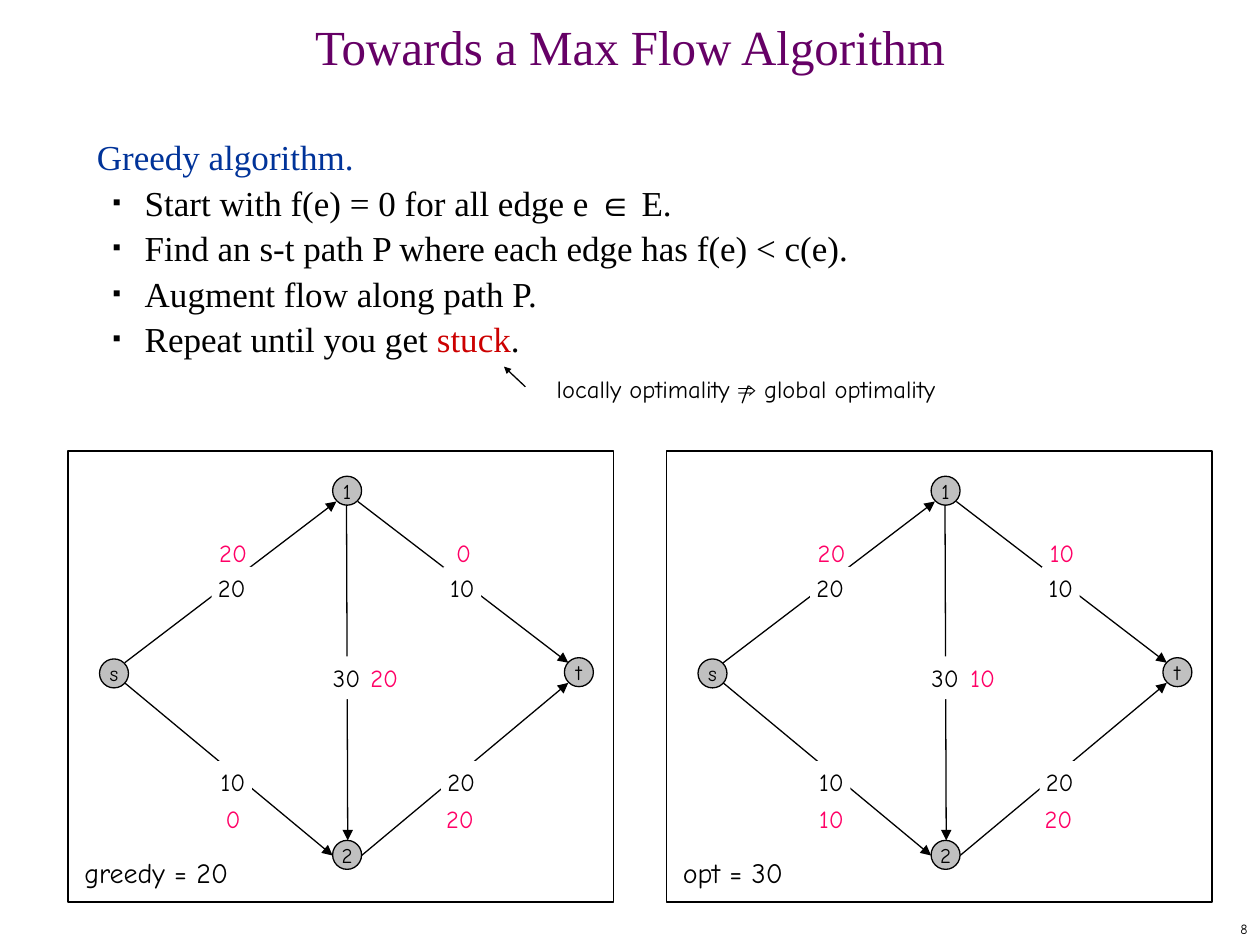
import lxml.etree
import pptx
import pptx.dml.color
import pptx.enum.shapes
import pptx.enum.text
import pptx.oxml.ns
import pptx.util

Inches = pptx.util.Inches
Pt = pptx.util.Pt
RGBColor = pptx.dml.color.RGBColor
Align = pptx.enum.text.PP_ALIGN
Anchor = pptx.enum.text.MSO_ANCHOR
Shape = pptx.enum.shapes.MSO_SHAPE

BLACK = RGBColor(0, 0, 0)
WHITE = RGBColor(255, 255, 255)
GRAY = RGBColor(0xC0, 0xC0, 0xC0)
PURPLE = RGBColor(0x66, 0, 0x66)
NAVY = RGBColor(0, 0x33, 0x99)
RED = RGBColor(0xCC, 0, 0)
PINK = RGBColor(0xFF, 0, 0x66)
SERIF, COMIC, SANS = "Times New Roman", "Comic Neue", "Arial"

NODE = 0.23
NODES = [("s", 0.25, 1.65), ("1", 2.1, 0.2), ("2", 2.1, 3.09), ("t", 3.94, 1.64)]
EDGES = [
    (0.45, 1.68, 2.13, 0.4),
    (0.45, 1.84, 2.1, 3.21),
    (2.33, 3.21, 3.97, 1.84),
    (2.21, 0.43, 2.22, 3.09),
    (2.3, 0.4, 3.97, 1.68),
]
CAPS = [("20", 1.3, 0.92), ("10", 3.13, 0.92), ("30", 2.21, 1.63),
        ("10", 1.31, 2.46), ("20", 3.12, 2.46)]
FLOWS = [(1.31, 0.64), (3.14, 0.64), (2.51, 1.63), (1.31, 2.75), (3.11, 2.75)]
WIDTHS = {"0": 0.22, "10": 0.3, "20": 0.32, "30": 0.32}


def add_run(para, text, size, color=BLACK, font=COMIC):
    """Append one formatted run to a paragraph."""
    run = para.add_run()
    run.text = text
    run.font.size = Pt(size)
    run.font.name = font
    run.font.color.rgb = color


def set_frame(frame, pad=(0.1, 0.05), wrap=False, anchor=Anchor.TOP):
    """Set the insets, wrapping and anchor of a text frame."""
    frame.margin_left = frame.margin_right = Inches(pad[0])
    frame.margin_top = frame.margin_bottom = Inches(pad[1])
    frame.word_wrap = wrap
    frame.vertical_anchor = anchor


def add_text(slide, box, **style):
    """Add a text box and return its text frame."""
    frame = slide.shapes.add_textbox(*map(Inches, box)).text_frame
    set_frame(frame, **style)
    return frame


def add_block(slide, kind, box, fill=None, line=None):
    """Add a flat preset shape with optional fill and outline."""
    shape = slide.shapes.add_shape(kind, *map(Inches, box))
    shape.shadow.inherit = False
    if fill is None:
        shape.fill.background()
    else:
        shape.fill.solid()
        shape.fill.fore_color.rgb = fill
    if line is None:
        shape.line.fill.background()
    else:
        shape.line.color.rgb = line
        shape.line.width = Pt(0.75)
    return shape


def add_line(slide, ends, head="med"):
    """Add a thin black line, with an arrowhead of the given size if any."""
    kind = pptx.enum.shapes.MSO_CONNECTOR.STRAIGHT
    line = slide.shapes.add_connector(kind, *map(Inches, ends))
    line.line.color.rgb = BLACK
    line.line.width = Pt(0.75)
    if head:
        tip = lxml.etree.SubElement(line.line._get_or_add_ln(), pptx.oxml.ns.qn("a:tailEnd"))
        for key, val in [("type", "triangle"), ("w", head), ("len", head)]:
            tip.set(key, val)
    lxml.etree.SubElement(line._element.spPr, pptx.oxml.ns.qn("a:effectLst"))


def add_bullet(para):
    """Give a paragraph a small square bullet and a hanging indent."""
    props = para._p.get_or_add_pPr()
    props.set("marL", str(Inches(0.38)))
    props.set("indent", str(-Inches(0.25)))
    color = lxml.etree.SubElement(props, pptx.oxml.ns.qn("a:buClr"))
    lxml.etree.SubElement(color, pptx.oxml.ns.qn("a:srgbClr")).set("val", str(BLACK))
    for tag, key, val in [("a:buSzPct", "val", "35000"), ("a:buFont", "typeface", SANS),
                          ("a:buChar", "char", "■")]:
        lxml.etree.SubElement(props, pptx.oxml.ns.qn(tag)).set(key, val)


def add_title(slide, box):
    """Place and format the slide title."""
    title = slide.shapes.title
    title.left, title.top, title.width, title.height = map(Inches, box)
    set_frame(title.text_frame, wrap=True, anchor=Anchor.MIDDLE)
    para = title.text_frame.paragraphs[0]
    para.alignment = Align.CENTER
    para.line_spacing = 0.7
    add_run(para, "Towards a Max Flow Algorithm", 28, PURPLE, SERIF)


def add_steps(slide, box):
    """Write the heading and the bulleted steps of the algorithm."""
    frame = add_text(slide, box, wrap=True)
    head = frame.paragraphs[0]
    head.line_spacing = Pt(26)
    add_run(head, "Greedy algorithm.", 20, NAVY, SERIF)
    steps = [
        [("Start with f(e) = 0 for all edge e ", BLACK, SERIF), ("∈", BLACK, SANS),
         (" E.", BLACK, SERIF)],
        [("Find an s-t path P where each edge has f(e) < c(e).", BLACK, SERIF)],
        [("Augment flow along path P.", BLACK, SERIF)],
        [("Repeat until you get ", BLACK, SERIF), ("stuck", RED, SERIF), (".", BLACK, SERIF)],
    ]
    for step in steps:
        para = frame.add_paragraph()
        para.line_spacing = Pt(26)
        add_bullet(para)
        for text, color, font in step:
            add_run(para, text, 20, color, font)


def add_note(slide, box):
    """Write the remark on optimality, with its arrow and the slash through ⇒."""
    left, top = box[:2]
    para = add_text(slide, box).paragraphs[0]
    for text, font in [("locally optimality ", COMIC), ("⇒", SANS),
                       (" global optimality", COMIC)]:
        add_run(para, text, 14, font=font)
    add_line(slide, (left - 0.15, top + 0.15, left - 0.32, top - 0.01), head="sm")
    add_line(slide, (left + 1.62, top + 0.14, left + 1.57, top + 0.28), head=None)


def add_label(slide, text, mid, top, color, fill=None):
    """Centre an edge number on a point, over a patch if a fill is given."""
    wide = WIDTHS[text]
    box = (mid - wide / 2, top, wide, 0.34)
    if fill is None:
        frame = add_text(slide, box, pad=(0, 0.05))
    else:
        frame = add_block(slide, Shape.RECTANGLE, box, fill).text_frame
        set_frame(frame, pad=(0, 0.05))
    para = frame.paragraphs[0]
    para.alignment = Align.CENTER
    add_run(para, text, 14, color)


def add_graph(slide, box, name, flows):
    """Draw one framed flow network with its caption, capacities and flows."""
    left, top = box[:2]
    add_block(slide, Shape.RECTANGLE, box, line=BLACK)
    frame = add_text(slide, (left - 0.02, top + 3.11, 1.83, 0.47), pad=(0.15, 0.1), wrap=True)
    add_run(frame.paragraphs[0], name, 16)
    for x1, y1, x2, y2 in EDGES:
        add_line(slide, (left + x1, top + y1, left + x2, top + y2))
    for text, x, y in NODES:
        node = add_block(slide, Shape.OVAL, (left + x, top + y, NODE, NODE), GRAY, BLACK)
        set_frame(node.text_frame, anchor=Anchor.MIDDLE)
        para = node.text_frame.paragraphs[0]
        para.alignment = Align.CENTER
        add_run(para, text, 12)
    for text, x, y in CAPS:
        add_label(slide, text, left + x, top + y, BLACK, WHITE)
    for text, (x, y) in zip(flows, FLOWS):
        add_label(slide, text, left + x, top + y, PINK)


def add_page(slide, box):
    """Write the page number."""
    para = add_text(slide, box, wrap=True, anchor=Anchor.MIDDLE).paragraphs[0]
    para.alignment = Align.RIGHT
    add_run(para, "8", 8)


def main():
    """Build the slide and save it."""
    deck = pptx.Presentation()
    deck.slide_width, deck.slide_height = Inches(10), Inches(7.5)
    slide = deck.slides.add_slide(deck.slide_layouts[5])
    add_title(slide, (0, 0.17, 10, 0.5))
    add_steps(slide, (0.67, 1, 8.58, 1.95))
    add_graph(slide, (0.54, 3.58, 4.33, 3.58), "greedy = 20", ["20", "0", "20", "0", "20"])
    add_graph(slide, (5.29, 3.58, 4.33, 3.58), "opt = 30", ["20", "10", "10", "10", "20"])
    add_note(slide, (4.32, 2.92, 3.22, 0.33))
    add_page(slide, (7.92, 7.25, 2.08, 0.25))
    deck.save("out.pptx")


if __name__ == "__main__":
    main()
